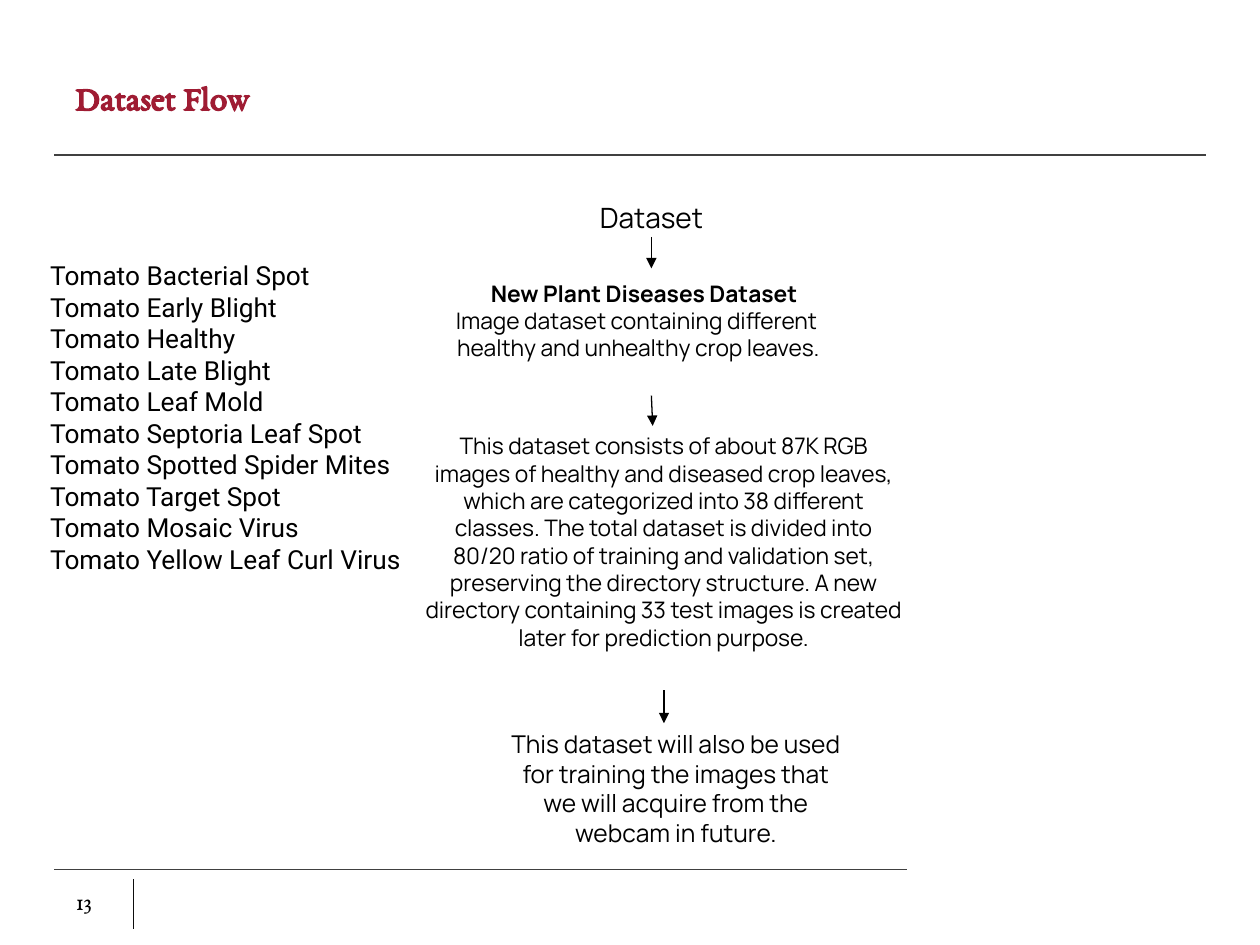
from lxml import etree
from pptx import Presentation
from pptx.dml.color import RGBColor
from pptx.enum import shapes, text
from pptx.oxml import ns
from pptx.util import Inches, Pt

BLACK = RGBColor(0x00, 0x00, 0x00)
NEAR_BLACK = RGBColor(0x0D, 0x0D, 0x0D)
GREY = RGBColor(0x40, 0x40, 0x40)
CRIMSON = RGBColor(0x9F, 0x1C, 0x33)
LEFT, CENTER = text.PP_ALIGN.LEFT, text.PP_ALIGN.CENTER
TOP, MIDDLE = text.MSO_ANCHOR.TOP, text.MSO_ANCHOR.MIDDLE

deck = Presentation()
deck.slide_width, deck.slide_height = Inches(10), Inches(7.5)
page = deck.slides.add_slide(deck.slide_layouts[6])


def add_line(start, end, color, arrow=False):
    line = page.shapes.add_connector(
        shapes.MSO_CONNECTOR.STRAIGHT, *map(Inches, start + end))
    line.line.color.rgb = color
    line.line.width = Pt(0.75)
    if arrow:
        outline = line.line._get_or_add_ln()
        etree.SubElement(outline, ns.qn("a:tailEnd"), type="triangle")
    etree.SubElement(line._element.spPr, ns.qn("a:effectLst"))


def add_text(place, lines, font, size, align=LEFT, anchor=TOP, inset=0.05,
             color=BLACK, bold=False):
    """Add a text box with one paragraph per line and return its paragraphs."""
    box = page.shapes.add_textbox(*map(Inches, place))
    frame = box.text_frame
    frame.word_wrap = True
    frame.vertical_anchor = anchor
    frame.margin_top = frame.margin_bottom = Inches(inset)
    for number, line in enumerate(lines):
        para = frame.add_paragraph() if number else frame.paragraphs[0]
        para.alignment = align
        span = para.add_run()
        span.text = line
        span.font.name, span.font.size = font, Pt(size)
        span.font.color.rgb, span.font.bold = color, bold
    return frame.paragraphs


# Rules of the page
add_line((0.43, 1.23), (9.57, 1.23), GREY)
add_line((0.43, 6.9), (7.2, 6.9), GREY)
add_line((1.06, 6.98), (1.06, 7.37), NEAR_BLACK)

add_text((0.5, 0.3, 9, 0.93), ["Dataset Flow"], "EB Garamond", 20,
         anchor=MIDDLE, color=CRIMSON, bold=True)

# Head of the flow: indents shift the centred lines to the right
flow = add_text(
    (0.59, 1.54, 8.82, 5.24),
    ["Dataset", "New Plant Diseases Dataset",
     "Image dataset containing different",
     "healthy and unhealthy crop leaves."],
    "Manrope", 13, CENTER)
for para, indent in zip(flow, (0.34, 0.22, 0.1, 0.13)):
    para._p.get_or_add_pPr().set("marL", str(Inches(indent)))
flow[0].runs[0].font.size = Pt(16)
flow[1].runs[0].font.bold = True
flow[1].space_before = Pt(26)

add_text((0.51, 6.95, 0.52, 0.4), ["13"], "EB Garamond", 14, anchor=MIDDLE)

# Arrows between the steps
for start, end in (((5.17, 1.88), (5.17, 2.13)),
                   ((5.17, 3.14), (5.18, 3.38)),
                   ((5.27, 5.48), (5.27, 5.74))):
    add_line(start, end, BLACK, arrow=True)

add_text(
    (3.27, 3.33, 3.99, 2.41),
    ["This dataset consists of about 87K RGB images of healthy and diseased "
     "crop leaves, which are categorized into 38 different classes. The total "
     "dataset is divided into 80/20 ratio of training and validation set, "
     "preserving the directory structure. A new directory containing 33 test "
     "images is created later for prediction purpose."],
    "Manrope", 13, CENTER, inset=0.1)

add_text(
    (3.92, 5.74, 2.89, 1.04),
    ["This dataset will also be used for training the images that we will "
     "acquire from the webcam in future."],
    "Manrope", 14, CENTER)

conditions = ["Bacterial Spot", "Early Blight", "Healthy", "Late Blight",
              "Leaf Mold", "Septoria Leaf Spot", "Spotted Spider Mites",
              "Target Spot", "Mosaic Virus", "Yellow Leaf Curl Virus"]
add_text((0.3, 1.96, 3.17, 3.06), [f"Tomato {name}" for name in conditions],
         "Roboto", 15, inset=0.1)

deck.save("out.pptx")
